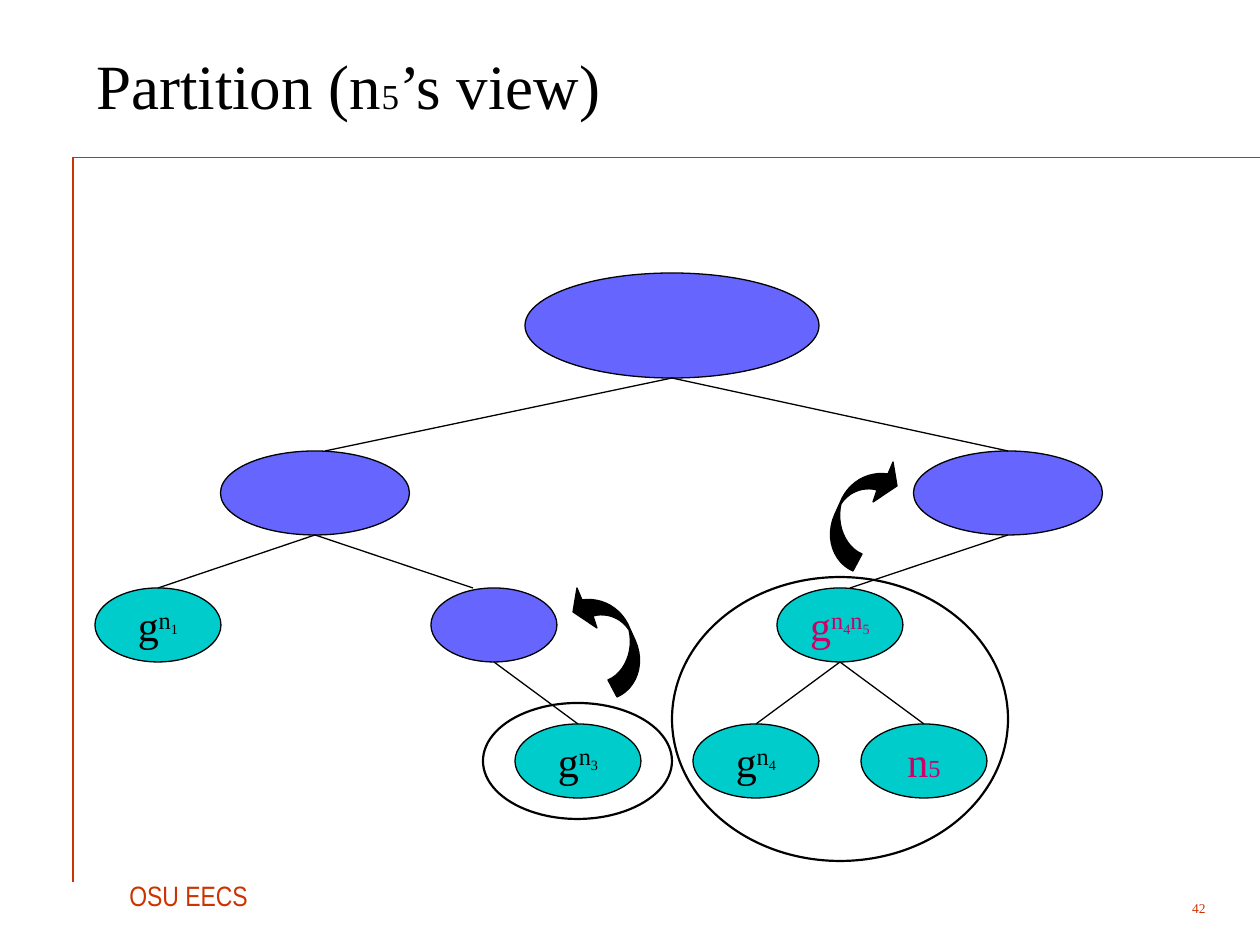
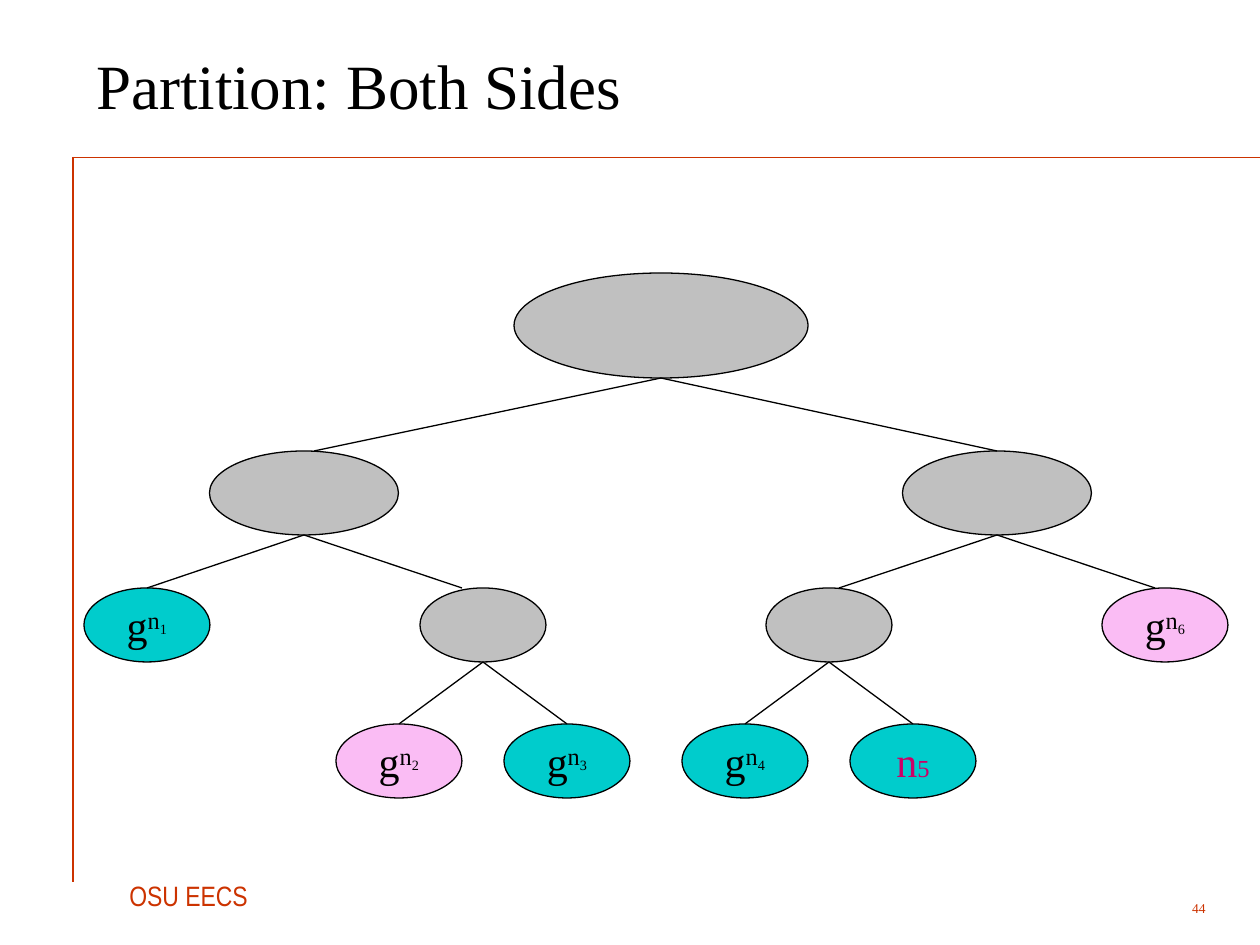
"""Build two slides that show a key tree after a network partition."""
from dataclasses import dataclass
from lxml.etree import SubElement
from pptx import Presentation
from pptx.dml.color import RGBColor
from pptx.enum.shapes import MSO_CONNECTOR, MSO_SHAPE
from pptx.enum.text import MSO_ANCHOR, PP_ALIGN
from pptx.oxml.ns import qn
from pptx.util import Emu, Pt


@dataclass(frozen=True)
class Theme:
    """Colours, fonts and type sizes of the deck."""
    accent: str = "CC3300"
    ink: str = "000000"
    secret: str = "CC0066"
    known: str = "00CCCC"
    changed: str = "6666FF"
    unknown: str = "C0C0C0"
    other_side: str = "FABCF4"
    serif: str = "Times New Roman"
    narrow: str = "Arial Narrow"
    title_size: float = 36
    title_index_size: float = 20
    key_size: float = 24
    index_size: float = 14
    footer_size: float = 16
    number_size: float = 7.7
    thin: float = 0.75
    ring: float = 1.25


THEME = Theme()
PX = 914400 / 126

LEVELS = {"root": (273, 294, 105), "middle": (451, 189, 84),
          "upper": (588, 126, 74), "lower": (724, 126, 74)}
NODES = {"root": ("root", 672), "left": ("middle", 315), "right": ("middle", 1008),
         "n1": ("upper", 158), "n23": ("upper", 494), "n45": ("upper", 840),
         "n6": ("upper", 1176), "n2": ("lower", 410), "n3": ("lower", 578),
         "n4": ("lower", 756), "n5": ("lower", 924)}
EDGES = [("left", "root", 10), ("right", "root", 0), ("n1", "left", 0),
         ("n23", "left", -21), ("n45", "right", 10), ("n6", "right", -10),
         ("n2", "n23", 0), ("n3", "n23", 0), ("n4", "n45", 0), ("n5", "n45", 0)]

ARROW_START = (617, 697)
ARROW_STEPS = [[(636, 689), (646, 664), (635, 640)], [(630, 629)],
               [(622, 608), (602, 597), (582, 600)], [(577, 588)], [(573, 612)],
               [(597, 628)], [(593, 616)], [(608, 612), (622, 619), (629, 630)],
               [(634, 650), (625, 673), (608, 680)]]


def px(length):
    """Turn pixels into EMU."""
    return Emu(round(length * PX))


def color(code):
    """Turn a hex code into a colour."""
    return RGBColor.from_string(code)


def add_span(para, text, size=THEME.key_size, ink=THEME.ink, font=THEME.serif, raised=False):
    """Add one formatted run to a paragraph."""
    span = para.add_run()
    span.text = text
    span.font.size = Pt(size)
    span.font.name = font
    span.font.color.rgb = color(ink)
    if raised:
        span.font._element.set("baseline", "30000")


def add_text(page, left, top, width, height, spans, align=PP_ALIGN.LEFT,
             anchor=MSO_ANCHOR.MIDDLE, wrap=True):
    """Add a text box with one paragraph of (text, format) spans."""
    frame = page.shapes.add_textbox(px(left), px(top), px(width), px(height)).text_frame
    frame.word_wrap = wrap
    frame.vertical_anchor = anchor
    para = frame.paragraphs[0]
    para.alignment = align
    for text, style in spans:
        add_span(para, text, **style)


def add_line(page, start, end, ink=THEME.ink, weight=THEME.thin):
    """Add a straight line without a shadow."""
    line = page.shapes.add_connector(
        MSO_CONNECTOR.STRAIGHT, *map(px, start), *map(px, end))
    line.line.color.rgb = color(ink)
    line.line.width = Pt(weight)
    SubElement(line._element.spPr, qn("a:effectLst"))
    return line


def paint(shape, fill=None, weight=THEME.thin):
    """Give a shape its fill and a dark outline."""
    shape.shadow.inherit = False
    if fill:
        shape.fill.solid()
        shape.fill.fore_color.rgb = color(fill)
    else:
        shape.fill.background()
    shape.line.color.rgb = color(THEME.ink)
    shape.line.width = Pt(weight)


def add_ellipse(page, left, top, width, height, **style):
    """Add a painted ellipse."""
    ellipse = page.shapes.add_shape(
        MSO_SHAPE.OVAL, px(left), px(top), px(width), px(height))
    paint(ellipse, **style)
    return ellipse


def blinded_key(*indices, ink=THEME.ink):
    """Return the spans of g raised to the indexed keys."""
    spans = [("g", {"ink": ink})]
    for index in indices:
        spans.append(("n", {"ink": ink, "raised": True}))
        spans.append((index, {"ink": ink, "raised": True, "size": THEME.index_size}))
    return spans


def secret_key(index):
    """Return the spans of a secret key with its index."""
    return [("n", {"ink": THEME.secret}),
            (index, {"ink": THEME.secret, "size": THEME.index_size})]


def add_node(page, name, shift, fill, spans=()):
    """Add one tree node with its key."""
    level, center = NODES[name]
    top, width, height = LEVELS[level]
    node = add_ellipse(page, center + shift - width / 2, top, width, height, fill=fill)
    frame = node.text_frame
    frame.word_wrap = False
    frame.vertical_anchor = MSO_ANCHOR.MIDDLE
    para = frame.paragraphs[0]
    para.alignment = PP_ALIGN.CENTER
    for text, style in spans:
        add_span(para, text, **style)
    return node


def add_tree(page, nodes, shift=0):
    """Add the named nodes and the edges between them."""
    shapes = {name: add_node(page, name, shift, *look) for name, look in nodes.items()}
    for child, parent, offset in EDGES:
        if child not in nodes:
            continue
        child_level, child_center = NODES[child]
        parent_level, parent_center = NODES[parent]
        parent_top, _, parent_height = LEVELS[parent_level]
        edge = add_line(page, (child_center + shift + offset, LEVELS[child_level][0]),
                        (parent_center + shift, parent_top + parent_height))
        if not offset:
            edge.begin_connect(shapes[child], 0)


def curve_points(start, controls, steps=12):
    """Return the points of a line or a cubic curve."""
    if len(controls) == 1:
        return controls
    corners = [start, *controls]
    points = []
    for step in range(1, steps + 1):
        t = step / steps
        weights = ((1 - t) ** 3, 3 * t * (1 - t) ** 2, 3 * t ** 2 * (1 - t), t ** 3)
        points.append(tuple(sum(w * corner[axis] for w, corner in zip(weights, corners))
                            for axis in (0, 1)))
    return points


def add_curved_arrow(page, mirror=None, rise=0):
    """Add a bent arrow, mirrored if the sum of both x values is given."""
    outline = [ARROW_START]
    for controls in ARROW_STEPS:
        outline += curve_points(outline[-1], controls)
    points = [(px(mirror - x if mirror else x), px(y - rise)) for x, y in outline]
    builder = page.shapes.build_freeform(*points[0], scale=1.0)
    builder.add_line_segments(points[1:], close=True)
    paint(builder.convert_to_shape(), fill=THEME.ink)


def add_page(deck, number, title):
    """Add a slide with its rules, footer, number and title."""
    page = deck.slides.add_slide(deck.slide_layouts[6])
    add_line(page, (73, 157), (1260, 157), ink=THEME.accent, weight=0.25)
    add_line(page, (73, 157), (73, 882), ink=THEME.accent)
    add_text(page, 117, 872, 150, 47,
             [("OSU EECS", {"size": THEME.footer_size, "ink": THEME.accent,
                            "font": THEME.narrow})],
             anchor=MSO_ANCHOR.TOP, wrap=False)
    add_text(page, 1113, 892, 105, 32,
             [(number, {"size": THEME.number_size, "ink": THEME.accent})],
             align=PP_ALIGN.RIGHT)
    add_text(page, 84, 21, 1135, 126, [(text, {"size": size}) for text, size in title])
    return page


def add_member_view(deck):
    """Add the slide with the view of one member."""
    big, small = THEME.title_size, THEME.title_index_size
    page = add_page(deck, "42", [("Partition (n", big), ("5", small), ("’s view)", big)])
    nodes = {name: (THEME.changed,) for name in ("root", "left", "right", "n23")}
    nodes |= {f"n{index}": (THEME.known, blinded_key(index)) for index in "134"}
    nodes["n45"] = (THEME.known, blinded_key("4", "5", ink=THEME.secret))
    nodes["n5"] = (THEME.known, secret_key("5"))
    add_tree(page, nodes)
    for ring in ((483, 703, 189, 116), (672, 577, 336, 284)):
        add_ellipse(page, *ring, weight=THEME.ring)
    add_curved_arrow(page)
    add_curved_arrow(page, mirror=1470, rise=126)


def add_both_sides(deck):
    """Add the slide with both sides of the partition."""
    page = add_page(deck, "44", [("Partition: Both Sides", THEME.title_size)])
    nodes = {name: (THEME.unknown,) for name in ("root", "left", "right", "n23", "n45")}
    nodes |= {f"n{index}": (THEME.known, blinded_key(index)) for index in "134"}
    nodes |= {f"n{index}": (THEME.other_side, blinded_key(index)) for index in "26"}
    nodes["n5"] = (THEME.known, secret_key("5"))
    add_tree(page, nodes, shift=-11)


def main():
    """Build and save the deck."""
    deck = Presentation()
    deck.slide_width, deck.slide_height = px(1260), px(945)
    add_member_view(deck)
    add_both_sides(deck)
    deck.save("out.pptx")


if __name__ == "__main__":
    main()
